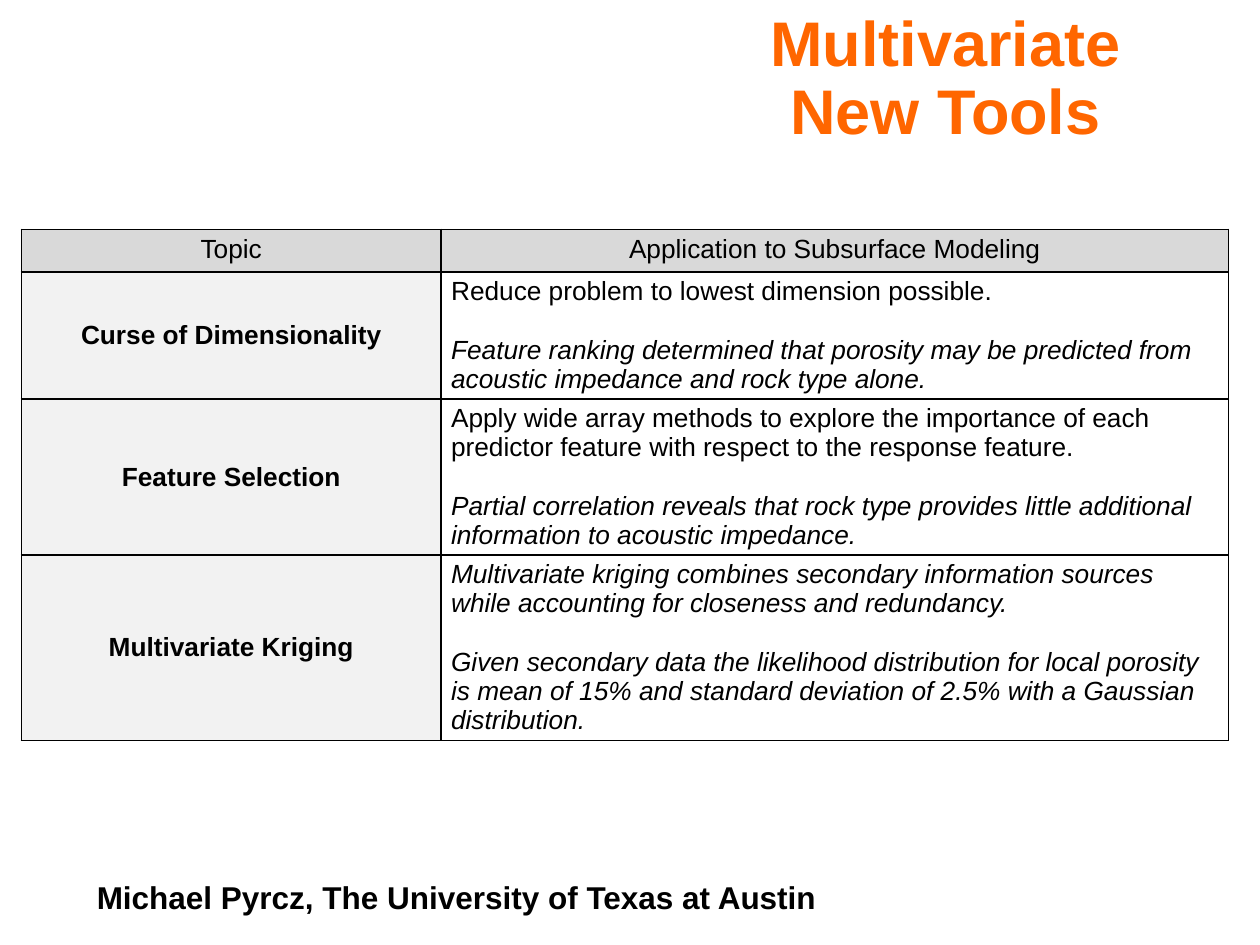
from pptx import Presentation
from pptx import util as u
from pptx.dml.color import RGBColor
from pptx.enum import text
from pptx.oxml import parse_xml
from pptx.oxml.ns import nsdecls

# Content
TITLE = "Multivariate\vNew Tools"
AUTHOR = "Michael Pyrcz, The University of Texas at Austin"
HEADINGS = ("Topic", "Application to Subsurface Modeling")
# topic, method, example, whether the method is italic
TOPICS = [
    ("Curse of Dimensionality",
     "Reduce problem to lowest dimension possible.",
     "Feature ranking determined that porosity may be predicted from "
     "acoustic impedance and rock type alone.", False),
    ("Feature Selection",
     "Apply wide array methods to explore the importance of each predictor "
     "feature with respect to the response feature.",
     "Partial correlation reveals that rock type provides little additional "
     "information to acoustic impedance.", False),
    ("Multivariate Kriging",
     "Multivariate kriging combines secondary information sources while "
     "accounting for closeness and redundancy.",
     "Given secondary data the likelihood distribution for local porosity is "
     "mean of 15% and standard deviation of 2.5% with a Gaussian distribution.",
     True),
]

ORANGE = RGBColor(0xFF, 0x66, 0x00)
BLACK = RGBColor(0x00, 0x00, 0x00)
WHITE = RGBColor(0xFF, 0xFF, 0xFF)
HEADING_GREY = RGBColor(0xD9, 0xD9, 0xD9)
TOPIC_GREY = RGBColor(0xF2, 0xF2, 0xF2)

COLUMNS = (3.33, 6.25)
HEADING_ROW, TOPIC_ROW = 0.34, 0.67
TABLE_SIZE = 15
LINE_GAP = 16.76  # one line of table text


def style(paragraph, size, color=BLACK, bold=False, italic=False):
    for run in paragraph.runs:
        font = run.font
        font.name, font.size = "Arial", u.Pt(size)
        font.bold, font.italic = bold, italic
        font.color.rgb = color


def add_borders(cell):
    properties = cell._tc.get_or_add_tcPr()
    for index, side in enumerate(("lnL", "lnR", "lnT", "lnB")):
        properties.insert(index, parse_xml(
            f'<a:{side} {nsdecls("a")} w="12700"><a:solidFill>'
            f'<a:srgbClr val="{BLACK}"/></a:solidFill></a:{side}>'))


def fill_cell(cell, fill, lines, centered=False, bold=False, italics=(False,)):
    cell.fill.solid()
    cell.fill.fore_color.rgb = fill
    cell.margin_left = cell.margin_right = u.Inches(0.08)
    cell.margin_top = cell.margin_bottom = u.Inches(0.04)
    add_borders(cell)
    cell.text_frame.text = "\n".join(lines)
    for index, paragraph in enumerate(cell.text_frame.paragraphs):
        paragraph.alignment = text.PP_ALIGN.CENTER if centered else text.PP_ALIGN.LEFT
        if index:
            paragraph.space_before = u.Pt(LINE_GAP)
        style(paragraph, TABLE_SIZE, bold=bold, italic=italics[index])


prs = Presentation()
prs.slide_width, prs.slide_height = u.Inches(10), u.Inches(7.5)
slide = prs.slides.add_slide(prs.slide_layouts[5])

# Title
title = slide.shapes.title
title.left, title.top = u.Inches(5.26), u.Inches(0.01)
title.width, title.height = u.Inches(4.49), u.Inches(1.25)
title.text_frame.text = TITLE
title.text_frame.vertical_anchor = text.MSO_ANCHOR.MIDDLE
heading = title.text_frame.paragraphs[0]
heading.alignment = text.PP_ALIGN.CENTER
heading.line_spacing = 0.9
style(heading, 36, ORANGE, bold=True)

# Table of topics
table = slide.shapes.add_table(
    len(TOPICS) + 1, len(COLUMNS), u.Inches(0.17), u.Inches(1.82),
    u.Inches(sum(COLUMNS)), u.Inches(HEADING_ROW + TOPIC_ROW * len(TOPICS))).table
for column, width in zip(table.columns, COLUMNS):
    column.width = u.Inches(width)
for index, row in enumerate(table.rows):
    row.height = u.Inches(TOPIC_ROW if index else HEADING_ROW)

for index, label in enumerate(HEADINGS):
    fill_cell(table.cell(0, index), HEADING_GREY, [label], centered=True)
for index, (topic, method, example, method_italic) in enumerate(TOPICS, start=1):
    topic_cell = table.cell(index, 0)
    fill_cell(topic_cell, TOPIC_GREY, [topic], centered=True, bold=True)
    topic_cell.vertical_anchor = text.MSO_ANCHOR.MIDDLE
    fill_cell(table.cell(index, 1), WHITE, [method, example],
              italics=(method_italic, True))

# Author line
author = slide.shapes.add_textbox(
    u.Inches(0.67), u.Inches(6.92), u.Inches(5.97), u.Inches(0.4)).text_frame
author.word_wrap = False
author.auto_size = text.MSO_AUTO_SIZE.SHAPE_TO_FIT_TEXT
author.text = AUTHOR
style(author.paragraphs[0], 18, bold=True)

prs.save("out.pptx")
